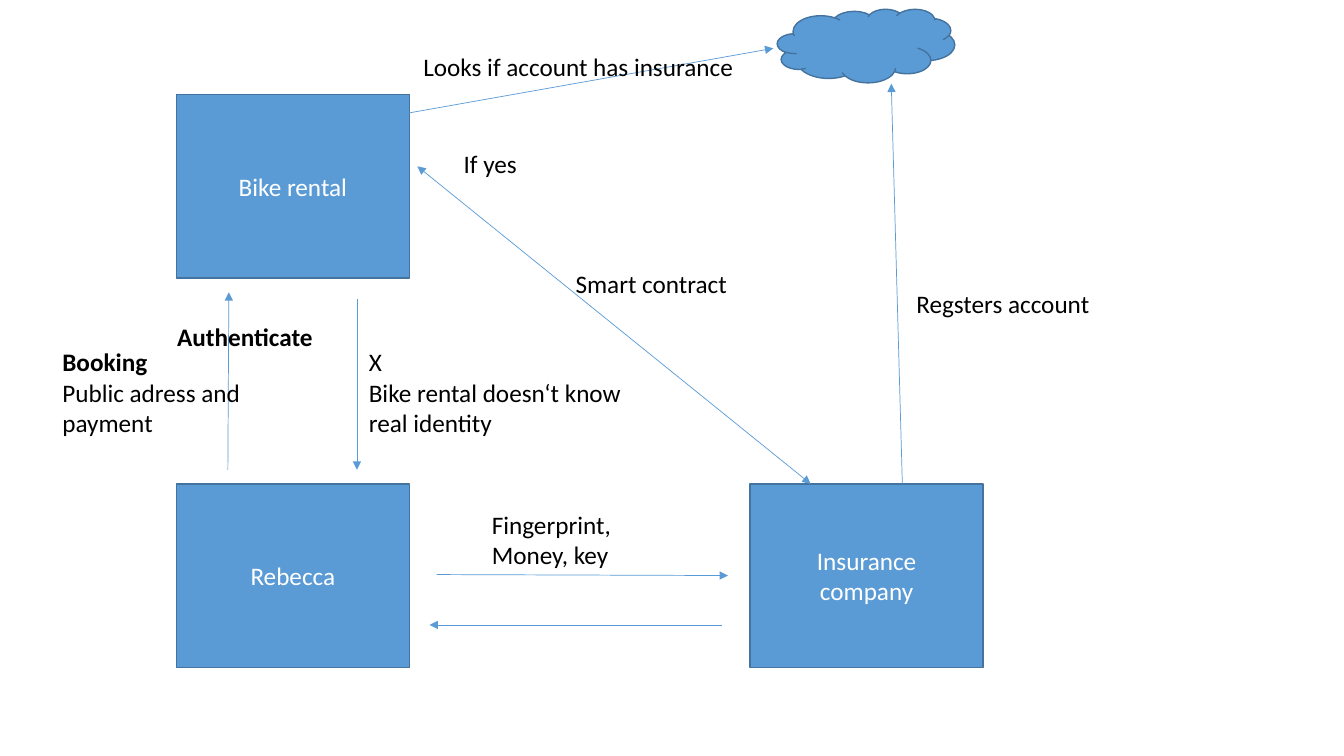
from lxml.etree import SubElement
from pptx import Presentation
from pptx.dml.color import RGBColor
from pptx.enum.shapes import MSO_CONNECTOR, MSO_SHAPE
from pptx.enum.text import MSO_ANCHOR, MSO_AUTO_SIZE, PP_ALIGN
from pptx.oxml.ns import qn
from pptx.util import Inches, Pt

BLUE, EDGE, WHITE, BLACK = "5B9BD5", "43739E", "FFFFFF", "000000"
NODE_W, NODE_H = 2.31, 1.82


def color(fmt, value):
    """Set a colour format from a hex string."""
    fmt.rgb = RGBColor.from_string(value)


def write(tf, text, size=18, fill=BLACK, align=PP_ALIGN.LEFT, bold_lines=0):
    """Write one paragraph per line, with the first bold_lines in bold."""
    tf.text = text
    for i, p in enumerate(tf.paragraphs):
        p.alignment = align
        for r in p.runs:
            r.font.name = "Calibri"
            r.font.size = Pt(size)
            r.font.bold = i < bold_lines
            color(r.font.color, fill)


def label(s, x, y, w, h, text, wrap=False, **fmt):
    """Add a text box that grows with its text."""
    tf = s.shapes.add_textbox(Inches(x), Inches(y), Inches(w), Inches(h)).text_frame
    tf.word_wrap = wrap
    tf.auto_size = MSO_AUTO_SIZE.SHAPE_TO_FIT_TEXT
    write(tf, text, **fmt)


def node(s, x, y, w, h, text="", kind=MSO_SHAPE.RECTANGLE):
    """Add a blue shape with centred white text."""
    sp = s.shapes.add_shape(kind, Inches(x), Inches(y), Inches(w), Inches(h))
    sp.shadow.inherit = False
    sp.fill.solid()
    color(sp.fill.fore_color, BLUE)
    color(sp.line.color, EDGE)
    sp.line.width = Pt(1)
    if text:
        sp.text_frame.vertical_anchor = MSO_ANCHOR.MIDDLE
        write(sp.text_frame, text, fill=WHITE, align=PP_ALIGN.CENTER)


def arrow(s, x1, y1, x2, y2, both=False):
    """Add a thin arrow, with a head at each end if both is set."""
    line = s.shapes.add_connector(
        MSO_CONNECTOR.STRAIGHT, Inches(x1), Inches(y1), Inches(x2), Inches(y2))
    color(line.line.color, BLUE)
    line.line.width = Pt(0.5)
    ln = line.line._get_or_add_ln()
    for end in ["headEnd", "tailEnd"] if both else ["tailEnd"]:
        SubElement(ln, qn(f"a:{end}"), type="triangle")
    SubElement(line._element.spPr, qn("a:effectLst"))


def actors(s, x, y, dx, dy):
    """Place the three parties on a two by two grid."""
    for col, row, name in [(1, 1, "Insurance\vcompany"), (0, 1, "Rebecca"), (0, 0, "Bike rental")]:
        node(s, x + col * dx, y + row * dy, NODE_W, NODE_H, name)


def fingerprint_exchange(s, x, y):
    """Link Rebecca and the insurance company."""
    arrow(s, x + 0.07, y + 0.7, x + 2.96, y + 0.71)
    arrow(s, x + 2.9, y + 1.2, x, y + 1.2)
    label(s, x + 0.52, y, 1.43, 0.71, "Fingerprint,\nMoney, key")


def booking_exchange(s, x, y):
    """Link Rebecca and the bike rental."""
    arrow(s, x + 1.74, y + 1.76, x + 1.75, y)
    arrow(s, x + 3.02, y + 0.07, x + 3.02, y + 1.76)
    label(s, x, y + 0.49, 1.99, 1.01, "Booking\nPublic adress and\npayment", bold_lines=1)
    label(s, x + 3.04, y + 0.49, 3.96, 1.31,
          "X\nBike rental doesn‘t know\nreal identity", wrap=True)
    label(s, x + 1.14, y + 0.24, 1.56, 0.4, "Authenticate", bold_lines=1)


def account_cloud(s, x, y):
    """Draw the cloud with the account lookup and registration."""
    arrow(s, x - 3.65, y + 1.03, x - 0.04, y + 0.39)
    node(s, x, y, 1.76, 0.73, kind=MSO_SHAPE.CLOUD)
    arrow(s, x + 1.24, y + 4.71, x + 1.13, y + 0.74)
    label(s, x + 1.28, y + 2.72, 1.94, 0.4, "Regsters account")
    label(s, x - 3.61, y + 0.37, 3.31, 0.4, "Looks if account has insurance")


def smart_contract(s, x, y):
    """Link the bike rental and the insurance company."""
    label(s, x + 0.36, y - 0.23, 0.74, 0.4, "If yes")
    arrow(s, x, y, x + 3.9, y + 3.15, both=True)
    label(s, x + 1.47, y + 0.96, 1.72, 0.4, "Smart contract")


prs = Presentation()
prs.slide_width, prs.slide_height = Inches(13.33), Inches(7.5)
slide = prs.slides.add_slide(prs.slide_layouts[6])
actors(slide, 1.75, 0.94, 5.69, 3.86)
fingerprint_exchange(slide, 4.26, 5)
account_cloud(slide, 7.71, 0.09)
smart_contract(slide, 4.14, 1.65)
booking_exchange(slide, 0.52, 2.9)
prs.save("out.pptx")
